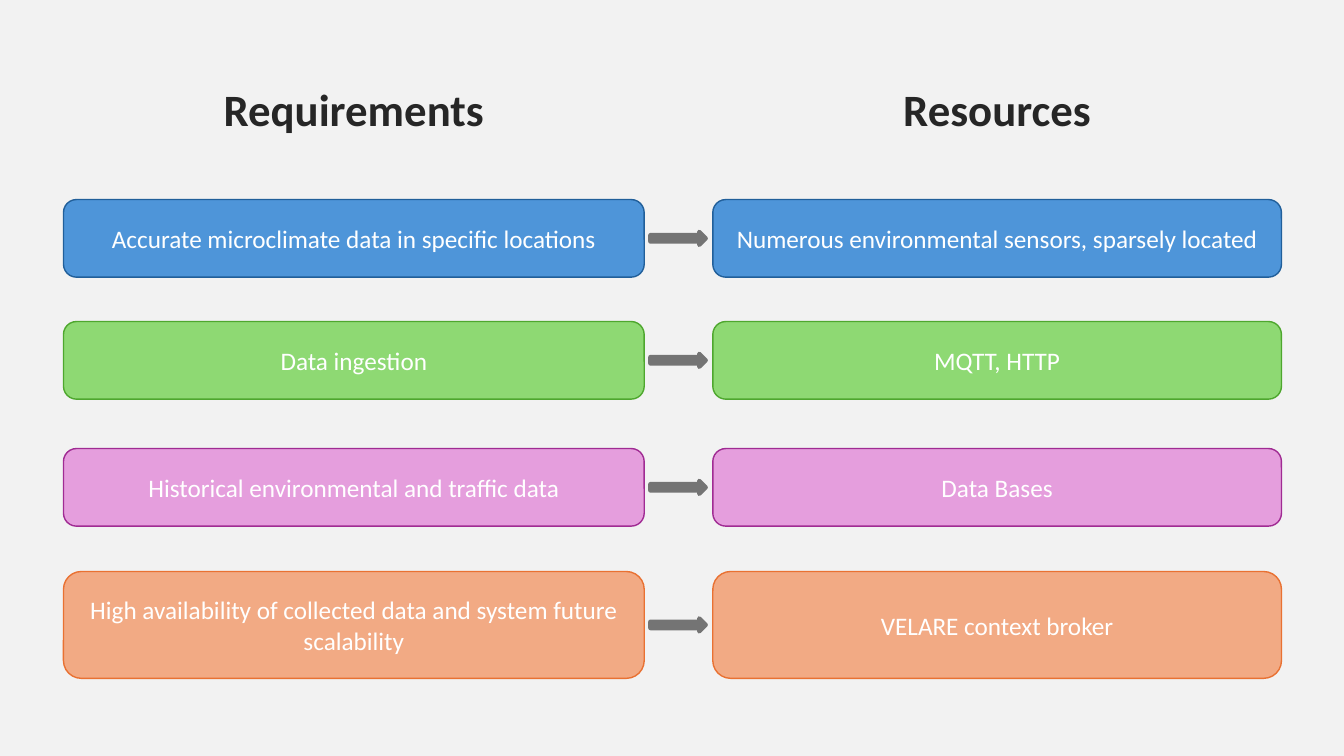
import pptx
import pptx.util
import pptx.dml.color
import pptx.enum.shapes
import pptx.enum.text

Inches, Pt = pptx.util.Inches, pptx.util.Pt
Color = pptx.dml.color.RGBColor
Shape = pptx.enum.shapes.MSO_SHAPE
Anchor = pptx.enum.text.MSO_ANCHOR
Align = pptx.enum.text.PP_ALIGN

BACK = Color(0xF2, 0xF2, 0xF2)
INK = Color(0x26, 0x26, 0x26)
WHITE = Color(0xFF, 0xFF, 0xFF)
GRAY = Color(0x74, 0x74, 0x74)
BLUE, NAVY = Color(0x4E, 0x95, 0xD9), Color(0x21, 0x5F, 0x9A)
LIME, GREEN = Color(0x8E, 0xD9, 0x73), Color(0x4E, 0xA7, 0x2E)
PINK, PLUM = Color(0xE5, 0x9E, 0xDD), Color(0xA0, 0x2B, 0x93)
PEACH, RUST = Color(0xF2, 0xAA, 0x84), Color(0xE9, 0x71, 0x32)

COMPARE = 4  # layout with two headings
HEADS = {1: "Requirements", 3: "Resources"}  # by placeholder index
COLUMNS = [(0.63, 5.76), (7.07, 5.64)]  # left, width
ARROW = (6.45, 0.55, 0.13)  # left, width, height

# top, height, fill, line, requirement, resource
ROWS = [
    (1.98, 0.77, BLUE, NAVY, "Accurate microclimate data in specific locations",
     "Numerous environmental sensors, sparsely located"),
    (3.19, 0.77, LIME, GREEN, "Data ingestion", "MQTT, HTTP"),
    (4.45, 0.77, PINK, PLUM, "Historical environmental and traffic data", "Data Bases"),
    (5.67, 1.06, PEACH, RUST,
     "High availability of collected data and system future scalability",
     "VELARE context broker"),
]


class Board:
    def __init__(self, slide, face="Calibri"):
        self.slide = slide
        self.face = face
        slide.background.fill.solid()
        slide.background.fill.fore_color.rgb = BACK

    def label(self, shape, text, size, color, anchor, bold=False):
        frame = shape.text_frame
        frame.text = text
        frame.word_wrap = True
        frame.auto_size = pptx.enum.text.MSO_AUTO_SIZE.NONE
        frame.vertical_anchor = anchor
        para = frame.paragraphs[0]
        para.alignment = Align.CENTER
        para.font.name = self.face
        para.font.size = Pt(size)
        para.font.bold = bold
        para.font.color.rgb = color
        return para

    def head(self, index, text, left, width):
        holder = next(p for p in self.slide.placeholders
                      if p.placeholder_format.idx == index)
        holder.left, holder.top = Inches(left), Inches(0.85)
        holder.width, holder.height = Inches(width), Inches(0.54)
        para = self.label(holder, text, 32, INK, Anchor.BOTTOM, True)
        para.space_before = Pt(10)

    def shape(self, kind, left, top, width, height, fill, line, weight):
        item = self.slide.shapes.add_shape(
            kind, Inches(left), Inches(top), Inches(width), Inches(height))
        item.shadow.inherit = False
        item.fill.solid()
        item.fill.fore_color.rgb = fill
        item.line.color.rgb = line
        item.line.width = Pt(weight)
        return item

    def card(self, text, left, top, width, height, fill, line):
        item = self.shape(Shape.ROUNDED_RECTANGLE, left, top, width, height,
                          fill, line, 1)
        self.label(item, text, 18, WHITE, Anchor.MIDDLE)

    def arrow(self, middle):
        left, width, height = ARROW
        self.shape(Shape.RIGHT_ARROW, left, middle - height / 2, width, height,
                   GRAY, GRAY, 3)

    def prune(self):
        """Remove the placeholders that hold no text."""
        for holder in list(self.slide.placeholders):
            if not holder.text_frame.text:
                holder.element.getparent().remove(holder.element)


def main():
    deck = pptx.Presentation()
    deck.slide_width, deck.slide_height = Inches(13.33), Inches(7.5)
    board = Board(deck.slides.add_slide(deck.slide_layouts[COMPARE]))
    for (index, text), (left, width) in zip(HEADS.items(), COLUMNS):
        board.head(index, text, left, width)
    board.prune()
    for top, height, fill, line, *texts in ROWS:
        for text, (left, width) in zip(texts, COLUMNS):
            board.card(text, left, top, width, height, fill, line)
        board.arrow(top + height / 2)
    deck.save("out.pptx")


if __name__ == "__main__":
    main()
